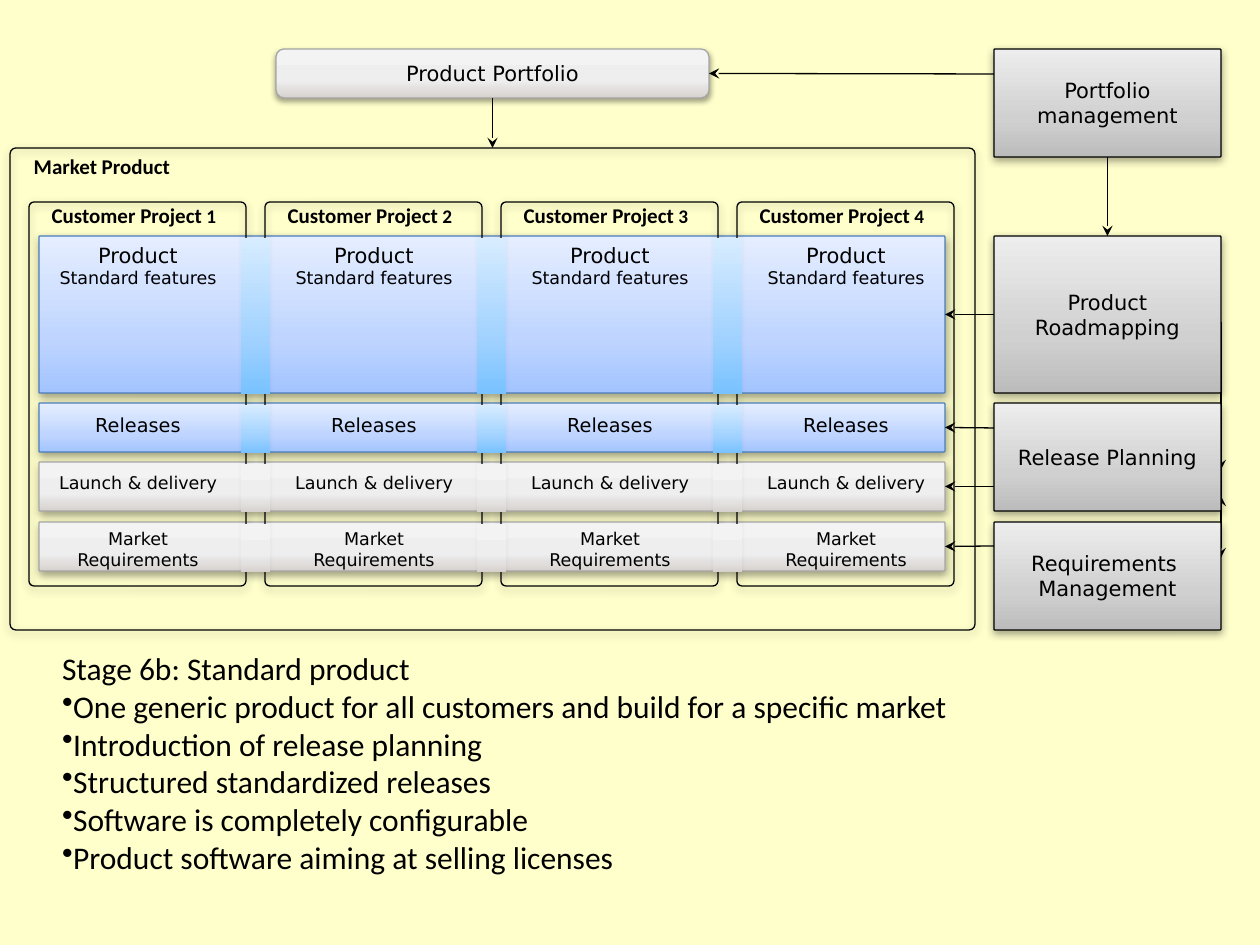
from copy import deepcopy

from lxml.etree import SubElement
from pptx import Presentation
from pptx.dml.color import RGBColor
from pptx.enum.shapes import MSO_CONNECTOR, MSO_SHAPE
from pptx.enum.text import MSO_ANCHOR, PP_ALIGN
from pptx.oxml.ns import qn
from pptx.util import Pt

EMU_PER_PX = 914400 / 126
TOP, LEFT, BOTTOM, RIGHT = range(4)
BLACK = "000000"
GREY = ("F3F3F3", "EEEEEE", "D6D1CE")
DARK_GREY = ("EDEDED", "D0D0D0", "BCBCBC")
BLUE = ("E5EEFF", "BFD5FF", "A3C4FF")
GAP_BLUE = ("D7ECFF", "A1D2FF", "78C2FF")
COLUMNS = 4
PITCH = 236
BAR_LEFT, BAR_WIDTH = 39, 906
BOX_LEFT, BOX_WIDTH = 994, 227
ROWS = [
    (236, 157, BLUE, GAP_BLUE, "4A7EBB",
     [[("Product", 12)], [("Standard features", 10)]], (6, 6)),
    (403, 49, BLUE, GAP_BLUE, "4A7EBB", [[("Releases", 11)]], (10, 6)),
    (462, 49, GREY, GREY, "A6A6A6", [[("Launch & delivery", 10)]], (10, 6)),
    (522, 49, GREY, GREY, "A6A6A6", [[("Market Requirements", 10)]], (6, 15)),
]
PROCESSES = [
    (49, 108, ["Portfolio management"]),
    (236, 157, ["Product Roadmapping"]),
    (403, 108, ["Release Planning"]),
    (522, 108, ["Requirements ", "Management"]),
]
STAGE_LINES = [
    "Stage 6b: Standard product",
    "One generic product for all customers and build for a specific market",
    "Introduction of release planning",
    "Structured standardized releases",
    "Software is completely configurable",
    "Product software aiming at selling licenses",
]


def px(length):
    """Turn pixels into EMU."""
    return round(length * EMU_PER_PX)


def color(value):
    """Turn a hex string into a colour."""
    return RGBColor.from_string(value)


def add_shadow(shape, blur):
    """Give a shape a soft shadow that falls downwards."""
    effects = shape._element.spPr.find(qn("a:effectLst"))
    outer = SubElement(effects, qn("a:outerShdw"), blurRad=str(Pt(blur)),
                       dist=str(Pt(1.6)), dir="5400000", rotWithShape="0")
    shade = SubElement(outer, qn("a:srgbClr"), val=BLACK)
    SubElement(shade, qn("a:alpha"), val="37000")


def fill_gradient(shape, colors):
    """Fill a shape from top to bottom with three colours."""
    shape.fill.gradient()
    shape.fill.gradient_angle = 270
    stops = shape._element.spPr.find(qn("a:gradFill")).find(qn("a:gsLst"))
    stops.append(deepcopy(stops[0]))
    for stop, value, position in zip(shape.fill.gradient_stops, colors, (0, 0.65, 1)):
        stop.color.rgb = color(value)
        stop.position = position


def add_panel(slide, left, top, width, height, radius=1, colors=None, line=None, blur=0):
    """Add a rounded rectangle with optional gradient, outline and shadow."""
    shape = slide.shapes.add_shape(MSO_SHAPE.ROUNDED_RECTANGLE,
                                   px(left), px(top), px(width), px(height))
    shape.adjustments[0] = radius / min(width, height)
    shape.shadow.inherit = False
    if colors:
        fill_gradient(shape, colors)
    else:
        shape.fill.background()
    if line:
        shape.line.color.rgb = color(line)
        shape.line.width = Pt(0.75)
    else:
        shape.line.fill.background()
    if blur:
        add_shadow(shape, blur)
    return shape


def write_text(shape, paragraphs, font="DejaVu Sans", bold=False, align=PP_ALIGN.CENTER,
               anchor=MSO_ANCHOR.TOP, insets=(6, 6), wrap=True, bullets=False):
    """Write paragraphs, each a list of (text, size) spans."""
    frame = shape.text_frame
    frame.word_wrap = wrap
    frame.vertical_anchor = anchor
    frame.margin_left = frame.margin_right = px(13)
    frame.margin_top, frame.margin_bottom = map(px, insets)
    for index, spans in enumerate(paragraphs):
        para = frame.paragraphs[0] if index == 0 else frame.add_paragraph()
        para.alignment = align
        if bullets and index:
            SubElement(para._p.get_or_add_pPr(), qn("a:buChar"), char="•")
        for text, size in spans:
            span = para.add_run()
            span.text = text
            span.font.name = font
            span.font.size = Pt(size)
            span.font.bold = bold
            span.font.color.rgb = color(BLACK)


def add_text(slide, left, top, width, height, paragraphs, **style):
    """Add a text box in Calibri."""
    box = slide.shapes.add_textbox(px(left), px(top), px(width), px(height))
    write_text(box, paragraphs, font="Calibri", **style)


def add_arrow(slide, start, end, kind=MSO_CONNECTOR.STRAIGHT, source=None, target=None):
    """Add an arrow, joined to (shape, side) pairs where given."""
    arrow = slide.shapes.add_connector(kind, *map(px, start + end))
    if source:
        arrow.begin_connect(*source)
    if target:
        arrow.end_connect(*target)
    arrow.line.color.rgb = color(BLACK)
    arrow.line.width = Pt(0.75)
    properties = arrow._element.spPr
    SubElement(properties.find(qn("a:ln")), qn("a:tailEnd"), type="stealth")
    SubElement(properties, qn("a:effectLst"))
    return arrow


def add_side_arrow(slide, start, end):
    """Add a turned elbow arrow along the right edge of the process boxes."""
    half, middle, edge = (end - start) / 2, (start + end) / 2, BOX_LEFT + BOX_WIDTH
    arrow = add_arrow(slide, (edge + half, middle), (edge - half, middle), MSO_CONNECTOR.ELBOW)
    properties = arrow._element.spPr
    properties.find(qn("a:xfrm")).set("rot", "16200000")
    values = properties.find(qn("a:prstGeom")).find(qn("a:avLst"))
    SubElement(values, qn("a:gd"), name="adj1", fmla="val 0")


def add_bars(slide):
    """Add the bars that run across all projects and return them."""
    return [add_panel(slide, BAR_LEFT, top, BAR_WIDTH, height, colors=colors, line=line, blur=5)
            for top, height, colors, _, line, _, _ in ROWS]


def add_projects(slide):
    """Add the customer project frames with their titles."""
    for column in range(COLUMNS):
        shift = column * PITCH
        add_panel(slide, 29 + shift, 202, 217, 384, radius=5, line=BLACK, blur=5)
        add_text(slide, 38 + shift, 197, 192, 38,
                 [[("Customer Project", 12), (f" {column + 1}", 11)]], bold=True, wrap=False)


def add_cells(slide):
    """Add the patches between projects and the label of each cell."""
    for top, height, _, gap_colors, _, label, insets in ROWS:
        for column in range(COLUMNS - 1):
            add_panel(slide, 241 + column * PITCH, top + 2, 29, height - 1,
                      radius=0, colors=gap_colors)
        for column in range(COLUMNS):
            cell = add_panel(slide, BAR_LEFT + column * PITCH, top, 198, height)
            write_text(cell, label, insets=insets)


def add_processes(slide):
    """Add the process boxes on the right and return them."""
    boxes = []
    for top, height, lines in PROCESSES:
        box = add_panel(slide, BOX_LEFT, top, BOX_WIDTH, height,
                        colors=DARK_GREY, line=BLACK, blur=5)
        write_text(box, [[(line, 12)] for line in lines], anchor=MSO_ANCHOR.MIDDLE)
        boxes.append(box)
    return boxes


def main():
    """Build the slide and save the deck."""
    deck = Presentation()
    deck.slide_width, deck.slide_height = px(1260), px(945)
    slide = deck.slides.add_slide(deck.slide_layouts[6])
    slide.background.fill.solid()
    slide.background.fill.fore_color.rgb = color("FFFFCC")

    market = add_panel(slide, 10, 148, 965, 482, radius=6, line=BLACK, blur=5)
    add_text(slide, 20, 148, 164, 38, [[("Market Product", 12)]], bold=True, wrap=False)
    features, releases, launch, requirements = add_bars(slide)
    add_projects(slide)
    for start, end in ((322, 558), (322, 470), (544, 496)):
        add_side_arrow(slide, start, end)
    add_arrow(slide, (1053, 450), (945, 487), MSO_CONNECTOR.ELBOW, target=(launch, RIGHT))
    management, roadmapping, _, _ = add_processes(slide)
    add_cells(slide)

    portfolio = add_panel(slide, 276, 49, 433, 49, radius=8, colors=GREY, line="A5A5A5", blur=3.1)
    write_text(portfolio, [[("Product Portfolio", 12)]], anchor=MSO_ANCHOR.MIDDLE)
    add_arrow(slide, (492, 98), (492, 148), source=(portfolio, BOTTOM), target=(market, TOP))
    add_arrow(slide, (1107, 157), (1107, 236),
              source=(management, BOTTOM), target=(roadmapping, TOP))
    add_arrow(slide, (994, 315), (945, 315), source=(roadmapping, LEFT), target=(features, RIGHT))
    for height, target in ((74, portfolio), (428, releases), (546, requirements)):
        add_arrow(slide, (BOX_LEFT, height), (945, height), target=(target, RIGHT))

    add_text(slide, 49, 643, 925, 239, [[(line, 18)] for line in STAGE_LINES],
             align=PP_ALIGN.LEFT, bullets=True)
    deck.save("out.pptx")


if __name__ == "__main__":
    main()
